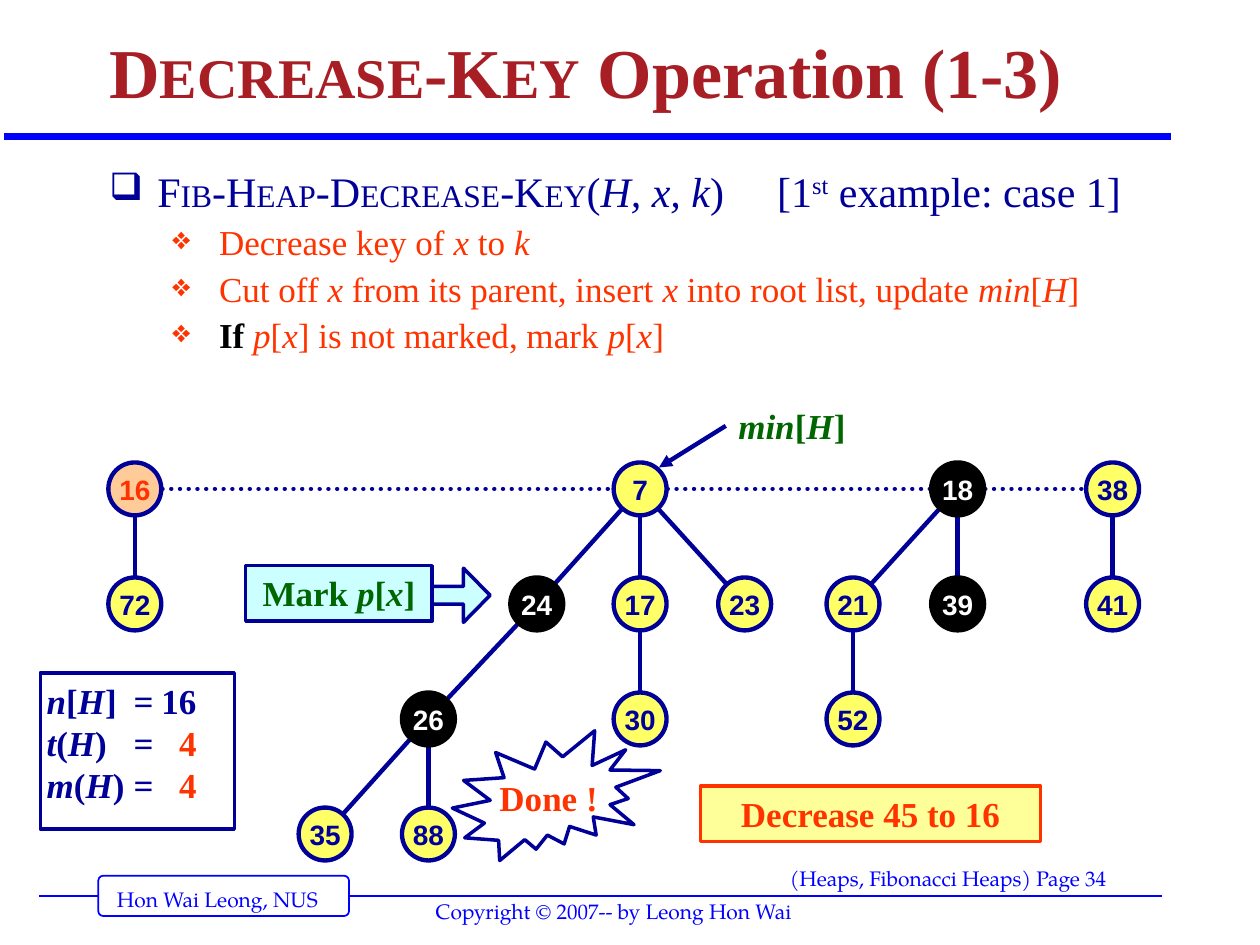
import math

import lxml.etree
import pptx
import pptx.dml.color
import pptx.enum.dml
import pptx.enum.shapes
import pptx.enum.text
import pptx.oxml.ns
import pptx.util

Inches = pptx.util.Inches
SHAPES = pptx.enum.shapes.MSO_SHAPE
ALIGN = pptx.enum.text.PP_ALIGN
ANCHOR = pptx.enum.text.MSO_ANCHOR

SERIF, SANS, FOOTER_FONT = "Times New Roman", "Arial", "TeX Gyre Pagella"
NAVY, BLUE, RED, GREEN, MAROON = "000099", "0000FF", "FF3300", "006600", "A81E25"
BLACK, WHITE, YELLOW, PEACH, CYAN, CREAM = "000000", "FFFFFF", "FFFF66", "FFCC99", "CCFFFF", "FFFF99"


def rgb(code):
    return pptx.dml.color.RGBColor.from_string(code)


def add_xml(parent, tag, **attributes):
    return lxml.etree.SubElement(parent, pptx.oxml.ns.qn(tag), attributes)


def add_shape(page, kind, box, fill=None, line=None, width=2):
    shape = page.shapes.add_shape(kind, *(Inches(length) for length in box))
    shape.shadow.inherit = False
    if fill:
        shape.fill.solid()
        shape.fill.fore_color.rgb = rgb(fill)
    else:
        shape.fill.background()
    shape.line.color.rgb = rgb(line)
    shape.line.width = pptx.util.Pt(width)
    return shape


def add_line(page, start, end, color=NAVY, width=2.5, dotted=False, arrow=False):
    points = (Inches(length) for length in (*start, *end))
    line = page.shapes.add_connector(pptx.enum.shapes.MSO_CONNECTOR.STRAIGHT, *points)
    line.line.color.rgb = rgb(color)
    line.line.width = pptx.util.Pt(width)
    if dotted:
        line.line.dash_style = pptx.enum.dml.MSO_LINE.ROUND_DOT
        line.line._get_or_add_ln().set("cap", "rnd")
    if arrow:
        add_xml(line.line._get_or_add_ln(), "a:tailEnd", type="triangle")
    add_xml(line._element.spPr, "a:effectLst")
    return line


def add_textbox(page, box):
    return page.shapes.add_textbox(*(Inches(length) for length in box))


def write(shape, paragraphs, font=SERIF, size=20, color=NAVY, bold=False, align=ALIGN.LEFT,
          anchor=ANCHOR.TOP, inset=0.1, wrap=True, line_spacing=None):
    """Each paragraph is a list of (text, changes); text between asterisks is italic."""
    frame = shape.text_frame
    frame.word_wrap = wrap
    frame.vertical_anchor = anchor
    frame.margin_left = frame.margin_right = Inches(inset)
    frame.margin_top = frame.margin_bottom = Inches(0.05)
    for index, parts in enumerate(paragraphs):
        para = frame.add_paragraph() if index else frame.paragraphs[0]
        para.alignment = align
        para.line_spacing = line_spacing
        for text, changes in parts:
            for position, piece in enumerate(text.split("*")):
                if not piece:
                    continue
                span = para.add_run()
                span.text = piece
                span.font.name = font
                span.font.size = pptx.util.Pt(changes.get("size", size))
                span.font.color.rgb = rgb(changes.get("color", color))
                span.font.bold = changes.get("bold", bold)
                span.font.italic = position % 2 == 1
                if "baseline" in changes:
                    span.font._element.set("baseline", changes["baseline"])
    return frame.paragraphs


def small_caps(words, size, small):
    """Set the first letter of each word large and the rest small."""
    parts = []
    for index, word in enumerate(words):
        lead = ("-" if index else "") + word[0]
        parts += [(lead, {"size": size}), (word[1:], {"size": small})]
    return parts


def set_tabs(para, *stops):
    tabs = add_xml(para._p.get_or_add_pPr(), "a:tabLst")
    for position, align in stops:
        add_xml(tabs, "a:tab", pos=str(Inches(position)), algn=align)


def set_bullet(para, character, color, left, hanging):
    properties = para._p.get_or_add_pPr()
    properties.set("marL", str(Inches(left)))
    properties.set("indent", str(-Inches(hanging)))
    add_xml(add_xml(properties, "a:buClr"), "a:srgbClr", val=color)
    add_xml(properties, "a:buSzPct", val="90000")
    add_xml(properties, "a:buChar", char=character)


def add_title(page, box):
    left, top, width, height = box
    add_line(page, (0.03, top + 1), (9.29, top + 1), BLUE, 4)
    parts = small_caps(["DECREASE", "KEY"], 40, 32) + [(" Operation (1-3)", {})]
    write(add_textbox(page, box), [parts], size=40, color=MAROON, bold=True,
          anchor=ANCHOR.BOTTOM, line_spacing=0.9)


def add_steps(page, box):
    large = {"size": 24, "color": NAVY}
    heading = [(text, {**large, **changes})
               for text, changes in small_caps(["FIB", "HEAP", "DECREASE", "KEY"], 24, 18)]
    heading += [("(*H, x, k*)\t[1", large), ("st", {**large, "baseline": "30000"}),
                (" example: case 1]", large)]
    steps = [
        [("Decrease key of *x* to *k*", {})],
        [("Cut off *x* from its parent, insert *x* into root list, update *min*[*H*]", {})],
        [("If ", {"color": BLACK, "bold": True}), ("*p*[*x*] is not marked, mark *p*[*x*]", {})],
    ]
    first, *others = write(add_textbox(page, box), [heading, *steps], color=RED, line_spacing=0.9)
    set_bullet(first, "❑", NAVY, 0.38, 0.38)
    set_tabs(first, (5.3, "l"))
    for para in others:
        para.space_before = pptx.util.Pt(5)
        set_bullet(para, "❖", RED, 0.87, 0.37)


def add_heap(page, box):
    left, top, width, height = box
    diameter, reach, level = 0.42, 0.22, 0.913
    columns = [0.21, 1.72, 2.54, 3.4, 4.22, 5.05, 5.91, 6.74, 7.97]
    # key: (column, row)
    nodes = {16: (0, 0), 72: (0, 1), 7: (4, 0), 24: (3, 1), 17: (4, 1), 23: (5, 1),
             26: (2, 2), 30: (4, 2), 35: (1, 3), 88: (2, 3), 18: (7, 0), 21: (6, 1),
             39: (7, 1), 52: (6, 2), 38: (8, 0), 41: (8, 1)}
    children = {16: [72], 7: [24, 17, 23], 24: [26], 17: [30], 26: [35, 88],
                18: [21, 39], 21: [52], 38: [41]}
    roots, marked, moved = [16, 7, 18, 38], [24, 26, 18, 39], 16
    centers = {key: (left + columns[column], top + diameter / 2 + row * level)
               for key, (column, row) in nodes.items()}

    def join(upper, lower, dotted=False):
        (x1, y1), (x2, y2) = centers[upper], centers[lower]
        share = reach / math.dist(centers[upper], centers[lower])
        dx, dy = (x2 - x1) * share, (y2 - y1) * share
        add_line(page, (x1 + dx, y1 + dy), (x2 - dx, y2 - dy), dotted=dotted)

    # Root list, then the edges of each tree
    for before, after in zip(roots, roots[1:]):
        join(before, after, dotted=True)
    for parent, keys in children.items():
        for key in keys:
            join(parent, key)

    for key, (x, y) in centers.items():
        fill, line, color = YELLOW, NAVY, NAVY
        if key in marked:
            fill, line, color = BLACK, BLACK, WHITE
        elif key == moved:
            fill, color = PEACH, RED
        node = add_shape(page, SHAPES.OVAL, (x - diameter / 2, y - diameter / 2, diameter, diameter),
                         fill, line, 2.5)
        write(node, [[(str(key), {})]], font=SANS, size=16, color=color, bold=True,
              align=ALIGN.CENTER, anchor=ANCHOR.MIDDLE, wrap=False)

    # Pointer to the minimum
    x, y = centers[7]
    add_line(page, (x + 0.68, y - 0.5), (x + 0.15, y - 0.17), arrow=True)
    write(add_textbox(page, (x + 0.78, y - 0.71, 1.2, 0.42)), [[("*min*[*H*]", {})]], color=GREEN,
          bold=True, anchor=ANCHOR.MIDDLE, inset=0)


def add_label(page, kind, box, text, color, fill, line, **layout):
    label = add_shape(page, kind, box, fill, line)
    write(label, [[(text, {})]], color=color, bold=True, align=ALIGN.CENTER, inset=0.05, **layout)


def add_mark_callout(page, box):
    left, top, width, height = box
    add_label(page, SHAPES.RECTANGLE, box, "Mark *p*[*x*]", GREEN, CYAN, NAVY)
    arrow = add_shape(page, SHAPES.RIGHT_ARROW, (left + width, top + 0.02, 0.46, 0.43), CYAN, NAVY)
    arrow.adjustments[0], arrow.adjustments[1] = 0.33, 0.49


def add_counts(page, box):
    rows = [("*n*[*H*]", "16", NAVY), ("*t*(*H*)", "4", RED), ("*m*(*H*)", "4", RED)]
    paragraphs = [[(f"{name}\t=\t", {}), (value, {"color": color})] for name, value, color in rows]
    panel = add_shape(page, SHAPES.RECTANGLE, box, WHITE, NAVY)
    for para in write(panel, paragraphs, bold=True, inset=0.05):
        set_tabs(para, (0.69, "l"), (1.19, "r"))


def add_footer(page, box):
    left, top, width, height = box
    add_line(page, (left, top + 0.29), (left + width, top + 0.29), BLUE, 1)
    frame = add_shape(page, SHAPES.ROUNDED_RECTANGLE, (left + 0.47, top + 0.13, 1.99, 0.32), WHITE, BLUE, 1)
    frame.adjustments[0] = 0.125
    notes = [("Hon Wai Leong, NUS", 0.52, 0.17, 1.82),
             ("(Heaps, Fibonacci Heaps) Page 34", 5.86, 0, 3.44),
             ("Copyright © 2007-- by Leong Hon Wai", 3.05, 0.26, 3.15)]
    for text, across, down, length in notes:
        write(add_textbox(page, (left + across, top + down, length, 0.3)), [[(text, {})]],
              font=FOOTER_FONT, size=12, color=BLUE, wrap=False)


def main():
    deck = pptx.Presentation()
    deck.slide_width, deck.slide_height = Inches(10), Inches(7.5)
    page = deck.slides.add_slide(deck.slide_layouts[6])
    add_footer(page, (0.31, 6.82, 8.91, 0.56))
    add_title(page, (0.77, 0.08, 8.5, 0.87))
    add_steps(page, (0.77, 1.31, 8.75, 1.57))
    add_heap(page, (0.86, 3.67, 8.18, 3.16))
    add_mark_callout(page, (1.95, 4.49, 1.48, 0.44))
    add_label(page, SHAPES.RECTANGLE, (5.56, 6.24, 2.7, 0.44), "Decrease 45 to 16", RED, CREAM, RED)
    add_label(page, SHAPES.EXPLOSION2, (3.59, 5.8, 1.65, 1.03), "Done !", RED, None, NAVY,
              anchor=ANCHOR.MIDDLE, wrap=False)
    add_counts(page, (0.32, 5.34, 1.54, 1.24))
    deck.save("out.pptx")


if __name__ == "__main__":
    main()
